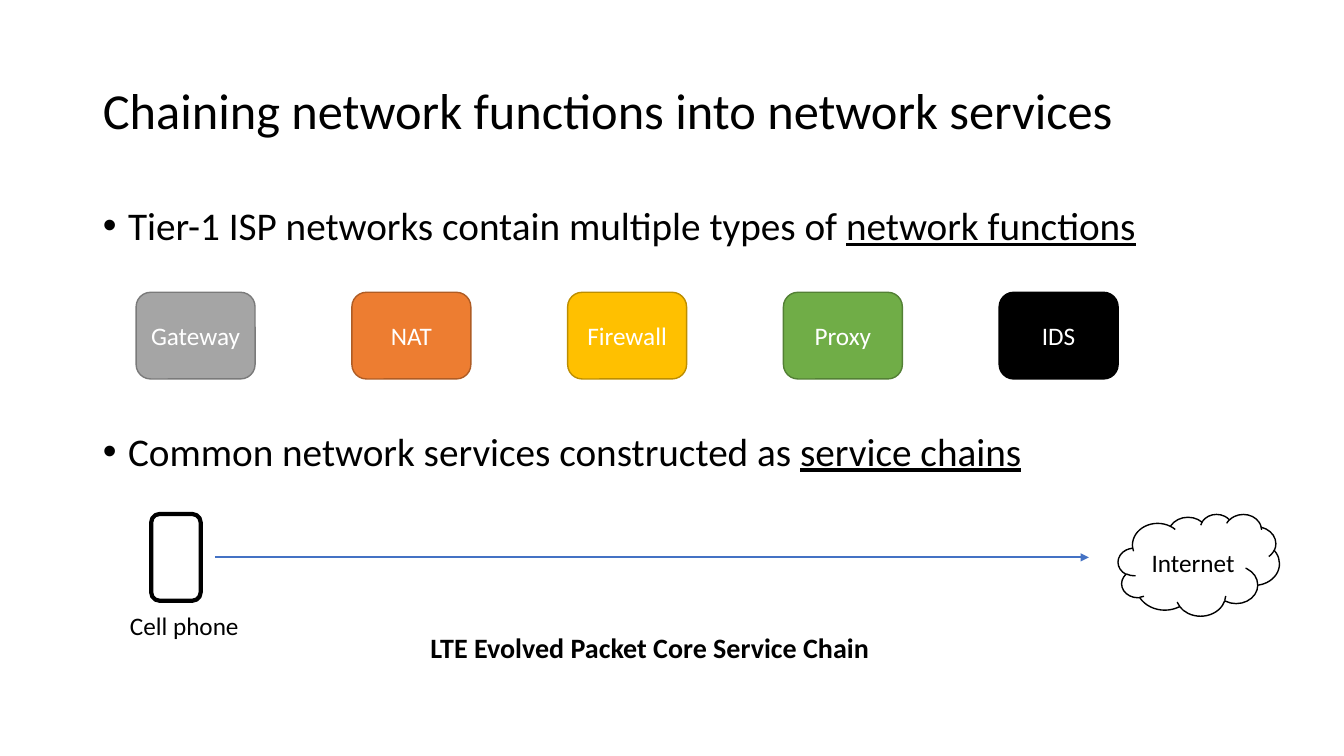
from dataclasses import dataclass

from pptx import Presentation
from pptx import util as u
from pptx.dml.color import RGBColor
from pptx.enum import shapes, text
from pptx.oxml import parse_xml
from pptx.oxml.ns import nsdecls, qn

FONT = "Calibri"
BLACK, WHITE = "000000", "FFFFFF"
ROUNDED = shapes.MSO_SHAPE.ROUNDED_RECTANGLE
CLOUD = shapes.MSO_SHAPE.CLOUD


@dataclass
class Box:
    left: float
    top: float
    width: float
    height: float

    def emu(self) -> tuple:
        return tuple(u.Inches(v) for v in (self.left, self.top, self.width, self.height))


@dataclass
class NetworkFunction:
    label: str
    fill: str
    outline: str


@dataclass
class Bullet:
    lead: str
    term: str
    space_before: float


FUNCTIONS = [
    NetworkFunction("Gateway", "A5A5A5", "7A7A7A"),
    NetworkFunction("NAT", "ED7D31", "AF5C24"),
    NetworkFunction("Firewall", "FFC000", "BD8E00"),
    NetworkFunction("Proxy", "70AD47", "538035"),
    NetworkFunction("IDS", BLACK, BLACK),
]
BULLETS = [
    Bullet("Tier-1 ISP networks contain multiple types of ", "network functions", 10),
    Bullet("Common network services constructed as ", "service chains", 131),
]
FUNCTION_PITCH = 2.14


def color(hex_code: str) -> RGBColor:
    return RGBColor.from_string(hex_code)


def style(paragraph, size: float, hex_code: str = BLACK, bold: bool = False) -> None:
    font = paragraph.font
    font.name, font.size, font.bold = FONT, u.Pt(size), bold
    font.color.rgb = color(hex_code)


def place(placeholder, box: Box) -> None:
    placeholder.left, placeholder.top, placeholder.width, placeholder.height = box.emu()
    placeholder.text_frame.auto_size = text.MSO_AUTO_SIZE.NONE


def add_title(slide, wording: str) -> None:
    title = slide.shapes.title
    place(title, Box(0.92, 0.4, 11.5, 1.45))
    title.text_frame.vertical_anchor = text.MSO_ANCHOR.MIDDLE
    title.text_frame.text = wording
    heading = title.text_frame.paragraphs[0]
    heading.alignment = text.PP_ALIGN.LEFT
    heading.line_spacing = 0.9
    style(heading, 36)


def add_bullets(slide, bullets: list[Bullet]) -> None:
    body = slide.placeholders[1]
    place(body, Box(0.92, 2, 11.5, 4.76))
    frame = body.text_frame
    for index, bullet in enumerate(bullets):
        paragraph = frame.add_paragraph() if index else frame.paragraphs[0]
        paragraph.line_spacing = 0.9
        paragraph.space_before = u.Pt(bullet.space_before)
        style(paragraph, 28)
        properties = paragraph._p.get_or_add_pPr()
        properties.set("marL", str(u.Inches(0.25)))
        properties.set("indent", str(u.Inches(-0.25)))
        paragraph.add_run().text = bullet.lead
        term = paragraph.add_run()
        term.text = bullet.term
        term.font.underline = True


def add_node(slide, kind, box: Box, fill: str, outline: str, weight: float = 1,
             label: str = "", label_color: str = BLACK) -> None:
    """Draw a filled, outlined shape with an optional centred label."""
    node = slide.shapes.add_shape(kind, *box.emu())
    node.shadow.inherit = False
    node.fill.solid()
    node.fill.fore_color.rgb = color(fill)
    node.line.color.rgb = color(outline)
    node.line.width = u.Pt(weight)
    if label:
        node.text_frame.text = label
        node.text_frame.vertical_anchor = text.MSO_ANCHOR.MIDDLE
        caption = node.text_frame.paragraphs[0]
        caption.alignment = text.PP_ALIGN.CENTER
        style(caption, 18, label_color)


def add_caption(slide, box: Box, wording: str, size: float, bold: bool = False) -> None:
    frame = slide.shapes.add_textbox(*box.emu()).text_frame
    frame.word_wrap = False
    frame.auto_size = text.MSO_AUTO_SIZE.SHAPE_TO_FIT_TEXT
    frame.text = wording
    style(frame.paragraphs[0], size, bold=bold)


def add_arrow(slide, start: float, end: float, y: float) -> None:
    arrow = slide.shapes.add_connector(
        shapes.MSO_CONNECTOR.STRAIGHT, *(u.Inches(v) for v in (start, y, end, y)))
    arrow.line.color.rgb = color("4472C4")
    arrow.line.width = u.Pt(1.5)
    properties = arrow._element.spPr
    properties.find(qn("a:ln")).append(
        parse_xml(f'<a:tailEnd {nsdecls("a")} type="triangle"/>'))
    properties.append(parse_xml(f'<a:effectLst {nsdecls("a")}/>'))


def main() -> None:
    deck = Presentation()
    deck.slide_width, deck.slide_height = u.Inches(13.33), u.Inches(7.5)
    slide = deck.slides.add_slide(deck.slide_layouts[1])

    add_title(slide, "Chaining network functions into network services")
    add_bullets(slide, BULLETS)
    for index, function in enumerate(FUNCTIONS):
        add_node(slide, ROUNDED, Box(1.35 + index * FUNCTION_PITCH, 2.9, 1.18, 0.86),
                 function.fill, function.outline,
                 label=function.label, label_color=WHITE)

    add_arrow(slide, 2.13, 10.8, 5.53)
    add_node(slide, ROUNDED, Box(1.5, 5.1, 0.49, 0.86), WHITE, BLACK, weight=3)
    add_node(slide, CLOUD, Box(11.09, 5.1, 1.6, 1.01), WHITE, BLACK, label="Internet")
    add_caption(slide, Box(1.19, 6.01, 1.3, 0.4), "Cell phone", 18)
    add_caption(slide, Box(4.17, 6.21, 4.59, 0.44),
                "LTE Evolved Packet Core Service Chain", 20, bold=True)

    deck.save("out.pptx")


if __name__ == "__main__":
    main()
